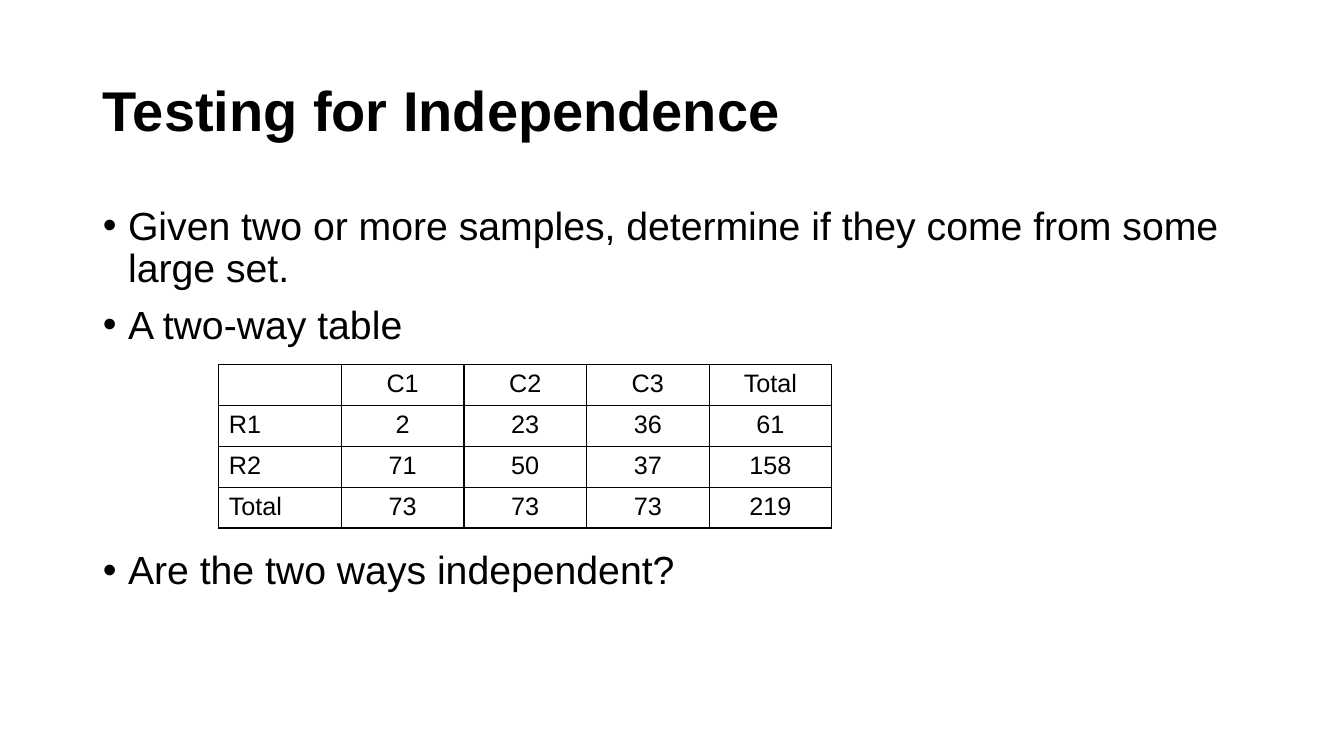
from lxml import etree
from pptx import Presentation
from pptx.dml.color import RGBColor
from pptx.enum import text
from pptx.oxml import ns
from pptx.util import Inches, Pt

BLACK = "000000"
BULLETS = [  # wording, space before in points
    ("Given two or more samples, determine if they come from some large set.", 10),
    ("A two-way table", 10),
    ("Are the two ways independent?", 145),  # leaves room for the table
]
COUNTS = [
    ["", "C1", "C2", "C3", "Total"],
    ["R1", "2", "23", "36", "61"],
    ["R2", "71", "50", "37", "158"],
    ["Total", "73", "73", "73", "219"],
]


def color(hex_value):
    return RGBColor.from_string(hex_value)


def format_font(font, size, bold=False):
    font.name = "Arial"
    font.size = Pt(size)
    font.bold = bold
    font.color.rgb = color(BLACK)


def place(shape, box):
    shape.left, shape.top, shape.width, shape.height = [Inches(v) for v in box]


def border_cell(cell):
    tcPr = cell._tc.get_or_add_tcPr()
    for i, side in enumerate(("a:lnL", "a:lnR", "a:lnT", "a:lnB")):
        ln = etree.Element(ns.qn(side), w=str(Pt(1)))
        fill = etree.SubElement(ln, ns.qn("a:solidFill"))
        etree.SubElement(fill, ns.qn("a:srgbClr"), val=BLACK)
        tcPr.insert(i, ln)  # lines come before the fill


def add_title(s, box, wording):
    title = s.shapes.title
    place(title, box)
    tf = title.text_frame
    tf.text = wording
    tf.auto_size = text.MSO_AUTO_SIZE.NONE
    tf.vertical_anchor = text.MSO_ANCHOR.MIDDLE
    p = tf.paragraphs[0]
    p.alignment = text.PP_ALIGN.LEFT
    p.line_spacing = 0.9
    format_font(p.runs[0].font, 40, bold=True)


def add_bullets(s, box, bullets):
    body = s.placeholders[1]
    place(body, box)
    tf = body.text_frame
    tf.text = "\n".join(wording for wording, _ in bullets)
    tf.auto_size = text.MSO_AUTO_SIZE.NONE
    for p, (_, gap) in zip(tf.paragraphs, bullets):
        p.line_spacing = 0.9
        p.space_before = Pt(gap)
        pPr = p._p.get_or_add_pPr()
        pPr.set("marL", str(Inches(0.25)))
        pPr.set("indent", str(-Inches(0.25)))
        format_font(p.runs[0].font, 28)


def add_two_way_table(s, box, rows):
    left, top, width, height = [Inches(v) for v in box]
    table = s.shapes.add_table(len(rows), len(rows[0]), left, top, width, height).table
    table.first_row = table.horz_banding = False
    for r, row in enumerate(rows):
        for c, value in enumerate(row):
            cell = table.cell(r, c)
            cell.fill.background()
            border_cell(cell)
            cell.text_frame.text = value
            p = cell.text_frame.paragraphs[0]
            p.alignment = text.PP_ALIGN.CENTER if c else text.PP_ALIGN.LEFT
            format_font(p.font, 18)
            for run in p.runs:
                format_font(run.font, 18)


prs = Presentation()
prs.slide_width, prs.slide_height = Inches(13.33), Inches(7.5)
s = prs.slides.add_slide(prs.slide_layouts[1])

# Title, list and table
add_title(s, (0.92, 0.4, 11.5, 1.45), "Testing for Independence")
add_bullets(s, (0.92, 2, 11.5, 4.76), BULLETS)
add_two_way_table(s, (2.17, 3.62, 6.08, 1.62), COUNTS)

prs.save("out.pptx")
